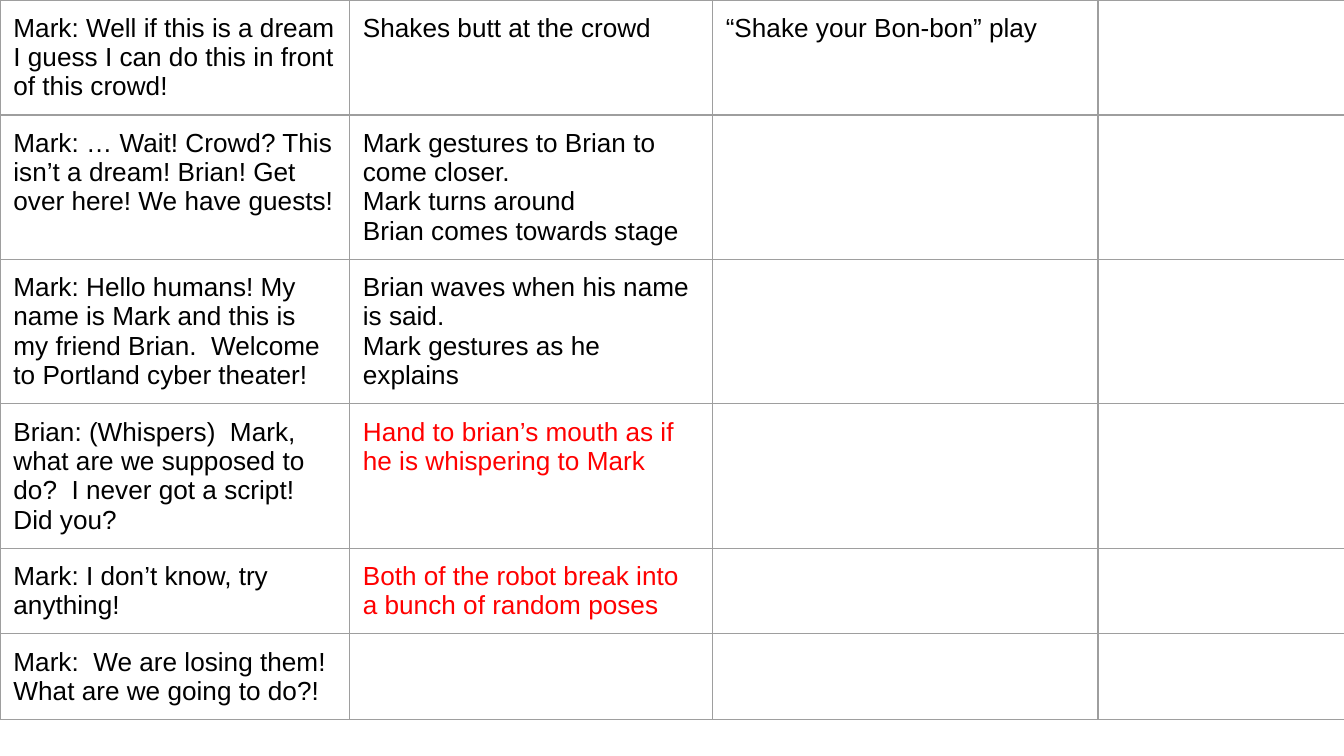
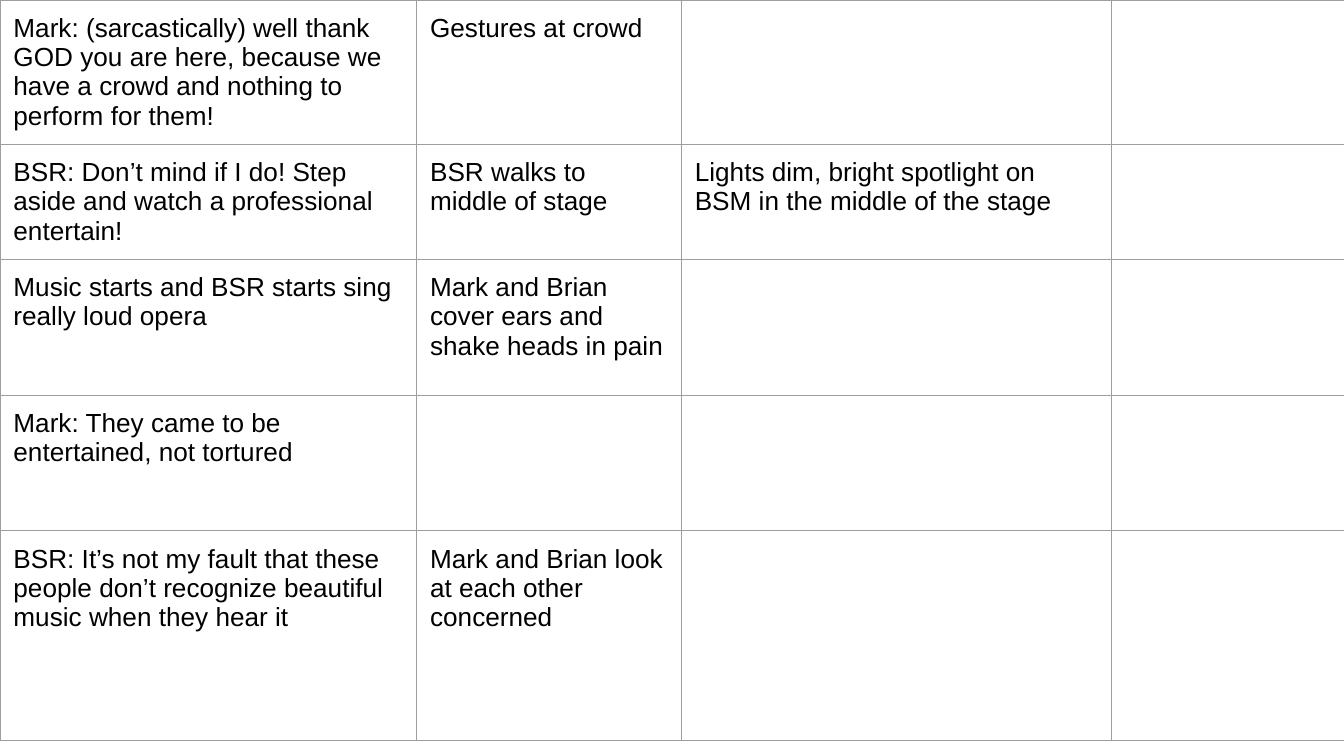
import pptx
import pptx.dml.color
import pptx.oxml
import pptx.oxml.ns
import pptx.util
from pptx.util import Inches

SLIDE_WIDTH = Inches(10)
SLIDE = {"slide_width": SLIDE_WIDTH, "slide_height": SLIDE_WIDTH * 9 // 16}
COLORS = {"line": "9E9E9E", "text": "000000", "undecided": "FF0000"}
FONT = {"name": "Arial", "size": pptx.util.Pt(14)}
CELL = {side: Inches(0.1) for side in
        ("margin_left", "margin_right", "margin_top", "margin_bottom")}
BORDER_PT = 0.75

# Each row: spoken line, stage action, sound and light, spare column.
# Several actions in one cell are separated by a line feed.
SCENES = [
    {
        "columns": [2.6, 2.7, 2.87, 1.85],
        "heights": [0.42] * 6,
        "undecided": {(3, 1), (4, 1)},
        "script": [
            ("Mark: Well if this is a dream I guess I can do this in front of this crowd!",
             "Shakes butt at the crowd", "“Shake your Bon-bon” play", ""),
            ("Mark: … Wait! Crowd? This isn’t a dream! Brian! Get over here! We have guests!",
             "Mark gestures to Brian to come closer.\nMark turns around\n"
             "Brian comes towards stage", "", ""),
            ("Mark: Hello humans! My name is Mark and this is my friend Brian.  "
             "Welcome to Portland cyber theater!",
             "Brian waves when his name is said.\nMark gestures as he explains", "", ""),
            ("Brian: (Whispers)  Mark, what are we supposed to do?  "
             "I never got a script! Did you?",
             "Hand to brian’s mouth as if he is whispering to Mark", "", ""),
            ("Mark: I don’t know, try anything!",
             "Both of the robot break into a bunch of random poses", "", ""),
            ("Mark:  We are losing them!  What are we going to do?!", "", "", ""),
        ],
    },
    {
        "columns": [3.1, 1.97, 3.2, 1.74],
        "heights": [0.98, 0.78, 1.01, 1.01, 1.56],
        "undecided": set(),
        "script": [
            ("Mark: (sarcastically) well thank GOD you are here, because we have "
             "a crowd and nothing to perform for them!",
             "Gestures at crowd", "", ""),
            ("BSR: Don’t mind if I do! Step aside and watch a professional entertain!",
             "BSR walks to middle of stage",
             "Lights dim, bright spotlight on BSM in the middle of the stage", ""),
            ("Music starts and BSR starts sing really loud opera",
             "Mark and Brian cover ears and shake heads in pain", "", ""),
            ("Mark: They came to be entertained, not tortured", "", "", ""),
            ("BSR: It’s not my fault that these people don’t recognize beautiful "
             "music when they hear it",
             "Mark and Brian look at each other concerned", "", ""),
        ],
    },
]


def apply(target, values):
    for attribute, value in values.items():
        setattr(target, attribute, value)


def outline(cell):
    """Draw all four borders; they must stand before the fill in tcPr."""
    properties = cell._tc.get_or_add_tcPr()
    for position, side in enumerate("LRTB"):
        border = pptx.oxml.parse_xml(
            f'<a:ln{side} {pptx.oxml.ns.nsdecls("a")} w="{pptx.util.Pt(BORDER_PT)}">'
            f'<a:solidFill><a:srgbClr val="{COLORS["line"]}"/></a:solidFill>'
            f'</a:ln{side}>')
        properties.insert(position, border)


def fill_cell(cell, words, color):
    apply(cell, CELL)
    cell.fill.background()
    outline(cell)
    cell.text = words
    for paragraph in cell.text_frame.paragraphs:
        apply(paragraph.font, FONT)
        for run in paragraph.runs:
            apply(run.font, FONT)
            run.font.color.rgb = pptx.dml.color.RGBColor.from_string(color)


def add_scene(slide, scene):
    columns, heights = scene["columns"], scene["heights"]
    table = slide.shapes.add_table(
        len(heights), len(columns), 0, 0,
        Inches(sum(columns)), Inches(sum(heights))).table
    apply(table, {"first_row": False, "horz_banding": False})
    for column, width in zip(table.columns, columns):
        column.width = Inches(width)
    for row, height in zip(table.rows, heights):
        row.height = Inches(height)
    for r, cues in enumerate(scene["script"]):
        for c, words in enumerate(cues):
            state = "undecided" if (r, c) in scene["undecided"] else "text"
            fill_cell(table.cell(r, c), words, COLORS[state])


def main():
    deck = pptx.Presentation()
    apply(deck, SLIDE)
    for scene in SCENES:
        add_scene(deck.slides.add_slide(deck.slide_layouts[6]), scene)
    deck.save("out.pptx")


if __name__ == "__main__":
    main()
